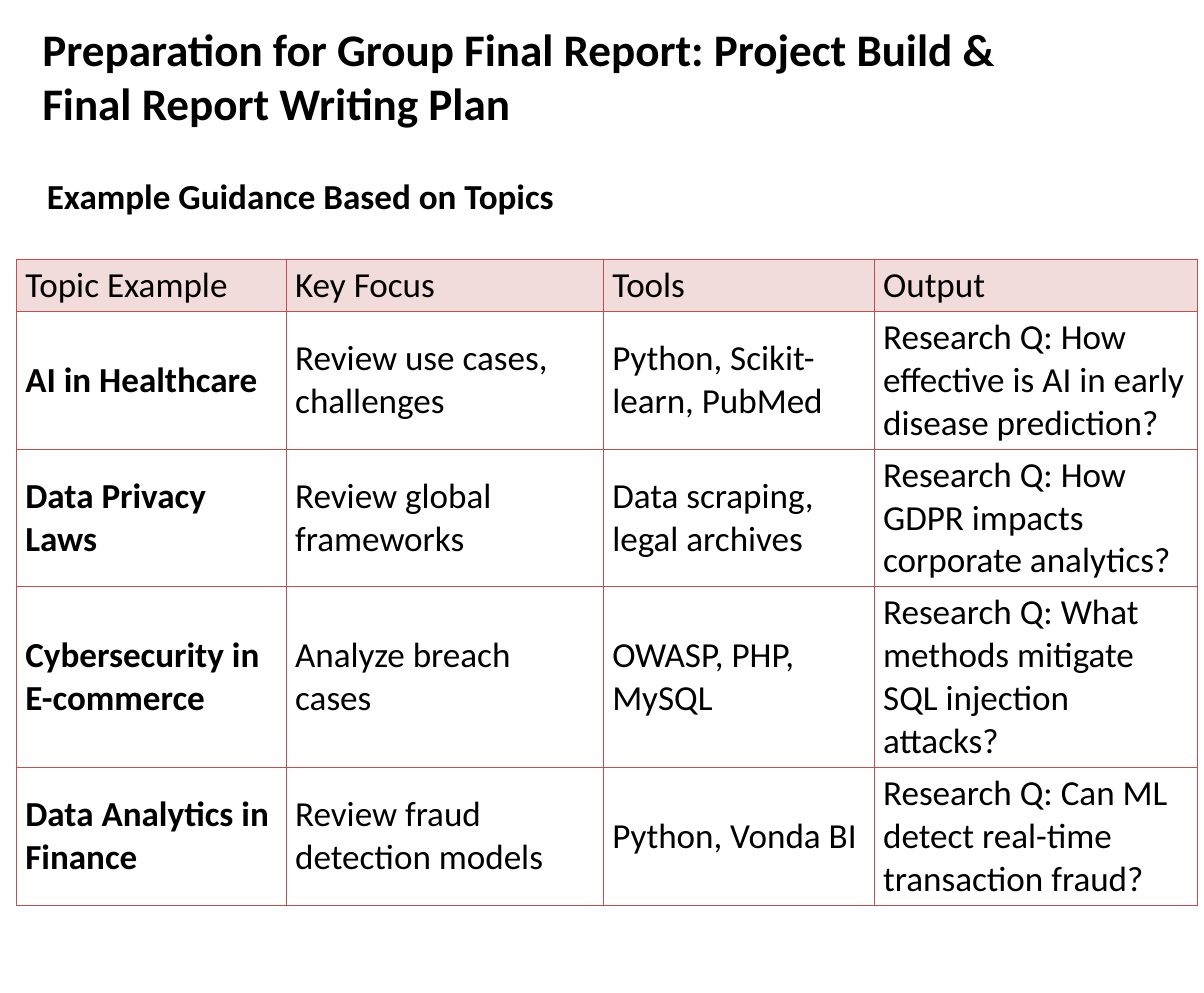
import pptx
import pptx.util
import pptx.dml.color
import pptx.enum.text
import pptx.oxml
import pptx.oxml.ns
from pptx.util import Cm, Pt

TITLE = "Preparation for Group Final Report: Project Build & Final Report Writing Plan"
SUBTITLE = "Example Guidance Based on Topics"
HEADER = ["Topic Example", "Key Focus", "Tools", "Output"]
TOPICS = [
    ["AI in Healthcare", "Review use cases, challenges", "Python, Scikit-learn, PubMed",
     "Research Q: How effective is AI in early disease prediction?"],
    ["Data Privacy Laws", "Review global frameworks", "Data scraping, legal archives",
     "Research Q: How GDPR impacts corporate analytics?"],
    ["Cybersecurity in E-commerce", "Analyze breach cases", "OWASP, PHP, MySQL",
     "Research Q: What methods mitigate SQL injection attacks?"],
    ["Data Analytics in Finance", "Review fraud detection models", "Python, Vonda BI",
     "Research Q: Can ML detect real-time transaction fraud?"],
]
COL_WIDTHS = [7.59, 8.92, 7.62, 9.09]
ROW_LINES = [1, 3, 3, 4, 3]
LINE_HEIGHT, CELL_PADDING = 1.2, 0.22
FONT, BLACK, RED, PINK = "Calibri", "000000", "C0504D", "F2DCDB"


def rgb(value):
    return pptx.dml.color.RGBColor.from_string(value)


def add_run(p, text, size, bold=False):
    r = p.add_run()
    r.text = text
    r.font.name, r.font.size, r.font.bold = FONT, Pt(size), bold
    r.font.color.rgb = rgb(BLACK)


def add_borders(cell):
    tcPr = cell._tc.get_or_add_tcPr()
    for side in ("lnL", "lnR", "lnT", "lnB"):
        tcPr.append(pptx.oxml.parse_xml(
            f'<a:{side} {pptx.oxml.ns.nsdecls("a")} w="{Pt(1)}"><a:solidFill>'
            f'<a:srgbClr val="{RED}"/></a:solidFill></a:{side}>'))


def add_title(s):
    sp = s.shapes.title
    sp.left, sp.top, sp.width, sp.height = Cm(0.53), Cm(0.58), Cm(28.9), Cm(3.12)
    tf = sp.text_frame
    tf.margin_left = tf.margin_right = tf.margin_bottom = 0
    tf.margin_top = Cm(0.03)
    tf.vertical_anchor = pptx.enum.text.MSO_ANCHOR.TOP
    tf.auto_size = pptx.enum.text.MSO_AUTO_SIZE.NONE
    p = tf.paragraphs[0]
    p.alignment = pptx.enum.text.PP_ALIGN.LEFT
    pPr = p._p.get_or_add_pPr()
    pPr.set("marL", str(Cm(0.66)))
    pPr.set("indent", "0")
    add_run(p, TITLE, 36, True)


def add_subtitle(s):
    sp = s.shapes.add_textbox(Cm(1.07), Cm(4.78), Cm(15.04), Cm(1.45))
    tf = sp.text_frame
    tf.word_wrap = False
    tf.vertical_anchor = pptx.enum.text.MSO_ANCHOR.MIDDLE
    add_run(tf.paragraphs[0], SUBTITLE, 28, True)


def add_topic_table(s):
    heights = [n * LINE_HEIGHT + CELL_PADDING for n in ROW_LINES]
    table = s.shapes.add_table(len(heights), len(COL_WIDTHS), Cm(0.46), Cm(7.3),
                               Cm(sum(COL_WIDTHS)), Cm(sum(heights))).table
    table.first_row = table.horz_banding = False
    for col, width in zip(table.columns, COL_WIDTHS):
        col.width = Cm(width)
    for row, height in zip(table.rows, heights):
        row.height = Cm(height)
    for i, texts in enumerate([HEADER] + TOPICS):
        for j, text in enumerate(texts):
            cell = table.cell(i, j)
            cell.vertical_anchor = pptx.enum.text.MSO_ANCHOR.MIDDLE
            add_borders(cell)
            if i == 0:
                cell.fill.solid()
                cell.fill.fore_color.rgb = rgb(PINK)
            else:
                cell.fill.background()
            add_run(cell.text_frame.paragraphs[0], text, 28, i > 0 and j == 0)


def main():
    prs = pptx.Presentation()
    prs.slide_width, prs.slide_height = Cm(33.87), Cm(27.94)
    s = prs.slides.add_slide(prs.slide_layouts.get_by_name("Title Only"))
    add_title(s)
    add_topic_table(s)
    add_subtitle(s)
    prs.save("out.pptx")


if __name__ == "__main__":
    main()
